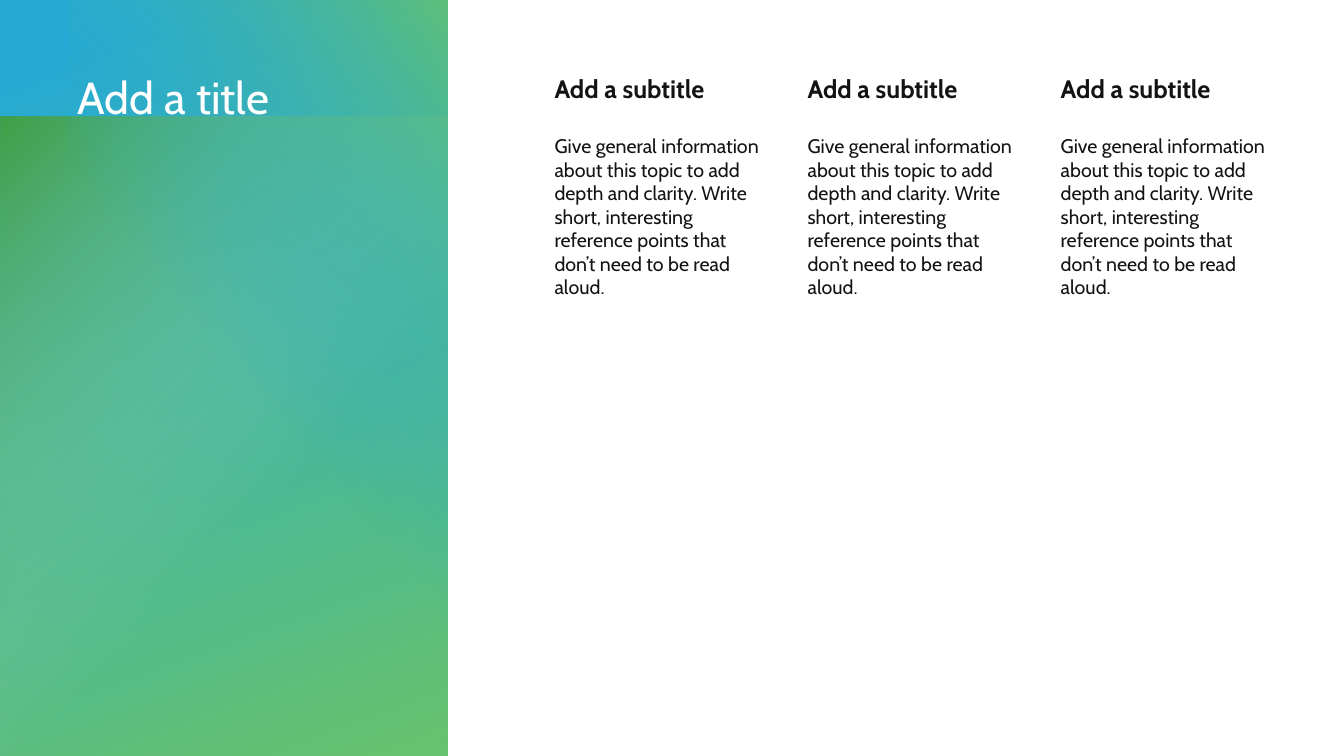
from dataclasses import dataclass

from lxml import etree
from pptx import Presentation
from pptx.dml.color import RGBColor
from pptx.enum.shapes import MSO_SHAPE
from pptx.enum.text import MSO_ANCHOR, MSO_AUTO_SIZE, PP_ALIGN
from pptx.oxml.ns import qn
from pptx.util import Inches, Pt

RECTANGLE = MSO_SHAPE.RECTANGLE
TOP = MSO_ANCHOR.TOP
NO_FIT = MSO_AUTO_SIZE.NONE
LEFT = PP_ALIGN.LEFT

# Content
TITLE = "Add a title"
INFO = ("Give general information about this topic to add depth and clarity. "
        "Write short, interesting reference points that don’t need to be read aloud.")
COLUMNS = [("Add a subtitle", INFO)] * 3


@dataclass(frozen=True)
class Theme:
    font: str = "Cabin"
    title_size: int = 32
    subtitle_size: int = 18
    body_size: int = 14
    white: str = "FFFFFF"
    ink: str = "131313"
    blue: str = "25AAD5"
    lime: str = "66C26C"
    green: str = "3F9F46"
    mint: str = "A3DAA7"


THEME = Theme()

# Side panel layers: box, rotation, stops (position, colour, opacity), angle or None for radial
PANEL_LAYERS = [
    ((0, 0, 4.44, 7.51), 0, [(7, THEME.blue, 100), (100, THEME.lime, 100)], 70),
    ((0, 1.16, 4.44, 6.35), 180, [(0, THEME.green, 100), (60, THEME.mint, 0)], None),
    ((-0.57, 1.24, 6.25, 3.77), 270, [(0, THEME.lime, 86), (57, THEME.blue, 0)], 230),
]

# Column grid
COLUMN_LEFT, COLUMN_STEP, COLUMN_WIDTH = 5.35, 2.51, 2.28
COLUMN_TOP, SUBTITLE_HEIGHT, BODY_HEIGHT = 0.7, 0.61, 5.49


def set_gradient(shape, stops, angle):
    """Give the shape a linear gradient, or a radial one from a corner."""
    shape.fill.gradient()
    gradient = shape.element.spPr.find(qn("a:gradFill"))
    for child in list(gradient):
        gradient.remove(child)
    gradient.set("rotWithShape", "1")
    stop_list = etree.SubElement(gradient, qn("a:gsLst"))
    for position, color, opacity in stops:
        stop = etree.SubElement(stop_list, qn("a:gs"), pos=str(position * 1000))
        tint = etree.SubElement(stop, qn("a:srgbClr"), val=color)
        etree.SubElement(tint, qn("a:alpha"), val=str(opacity * 1000))
    if angle is None:
        radial = etree.SubElement(gradient, qn("a:path"), path="circle")
        etree.SubElement(radial, qn("a:fillToRect"), r="100000", b="100000")
    else:
        etree.SubElement(gradient, qn("a:lin"), ang=str(angle * 60000), scaled="0")


def write(box, text, size, color, bold=False):
    frame = box.text_frame
    frame.text = text
    frame.word_wrap = True
    frame.auto_size = NO_FIT
    frame.vertical_anchor = TOP
    para = frame.paragraphs[0]
    para.alignment = LEFT
    font = para.runs[0].font
    font.name, font.size, font.bold = THEME.font, Pt(size), bold
    font.color.rgb = RGBColor.from_string(color)
    return frame


def add_column_text(page, left, top, height, inset, text, size, bold):
    box = page.shapes.add_textbox(*map(Inches, (left, top, COLUMN_WIDTH, height)))
    frame = write(box, text, size, THEME.ink, bold)
    frame.margin_left = Inches(0.15)
    frame.margin_top = frame.margin_right = frame.margin_bottom = Inches(inset)


def main():
    deck = Presentation()
    deck.slide_width, deck.slide_height = Inches(13.33), Inches(7.5)
    page = deck.slides.add_slide(deck.slide_layouts[5])

    # Gradient side panel
    for bounds, rotation, stops, angle in PANEL_LAYERS:
        layer = page.shapes.add_shape(RECTANGLE, *map(Inches, bounds))
        layer.rotation = rotation
        layer.shadow.inherit = False
        layer.line.fill.background()
        set_gradient(layer, stops, angle)

    # Title, brought in front of the panel
    title = page.shapes.title
    title.left, title.top, title.width, title.height = map(Inches, (0.67, 0.7, 3.37, 4.39))
    write(title, TITLE, THEME.title_size, THEME.white).paragraphs[0].line_spacing = 0.9
    page.shapes.element.append(title.element)

    # Three columns
    for index, (subtitle, body) in enumerate(COLUMNS):
        left = COLUMN_LEFT + index * COLUMN_STEP
        add_column_text(page, left, COLUMN_TOP, SUBTITLE_HEIGHT, 0.03,
                        subtitle, THEME.subtitle_size, True)
        add_column_text(page, left, COLUMN_TOP + SUBTITLE_HEIGHT, BODY_HEIGHT, 0.02,
                        body, THEME.body_size, False)

    deck.save("out.pptx")


if __name__ == "__main__":
    main()
